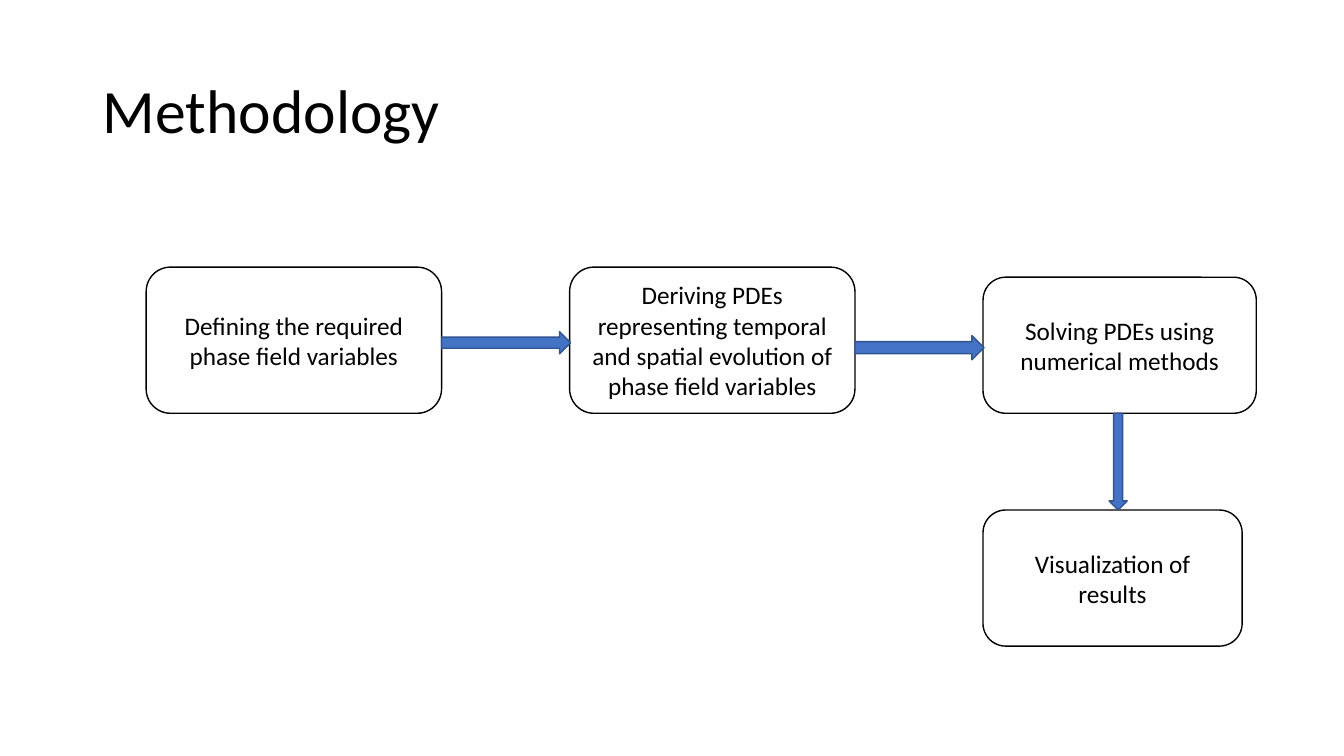
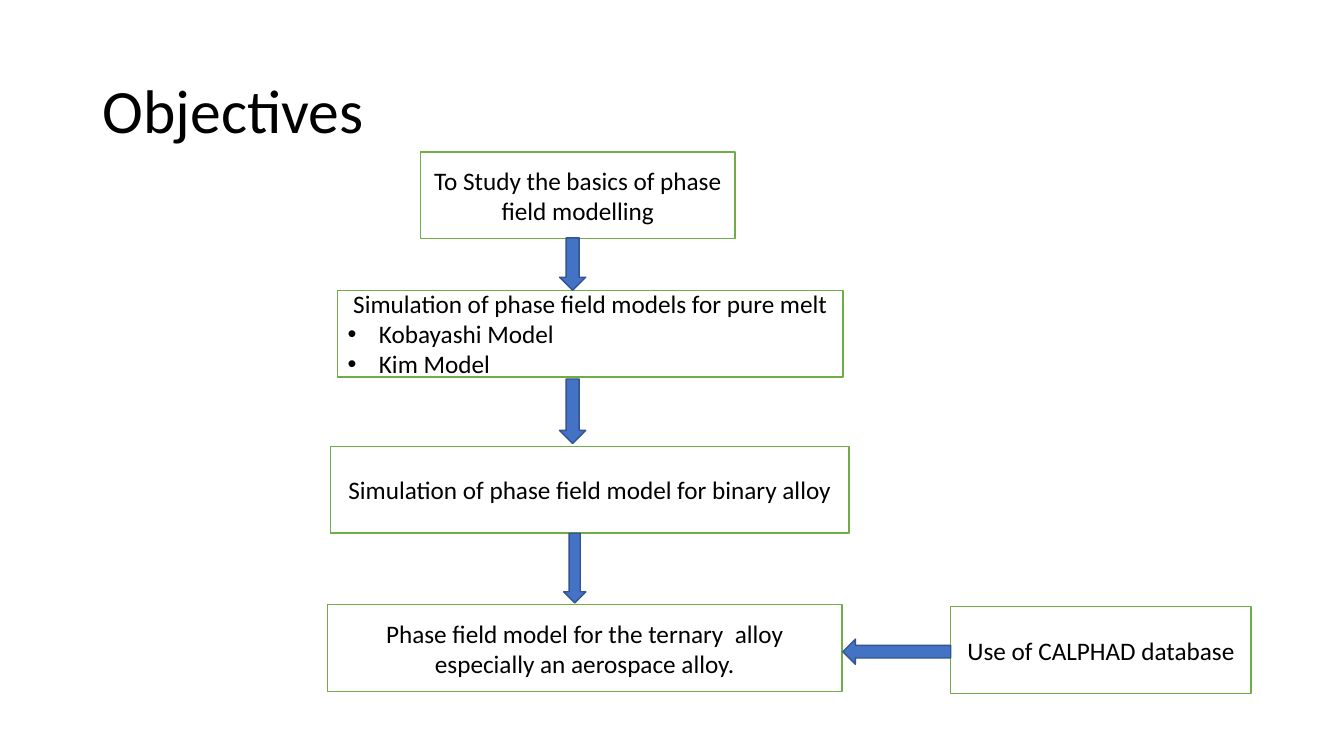
from lxml import etree
from pptx import Presentation
from pptx import util as u
from pptx.dml.color import RGBColor
from pptx.enum import shapes, text
from pptx.oxml.ns import qn

PX = u.Inches(1) // 100
FONT = "Calibri"
COLORS = {
    "text": "000000",
    "box": "FFFFFF",
    "step_line": "000000",
    "goal_line": "70AD47",
    "arrow": "4472C4",
    "arrow_line": "325491",
}
SHAPE = shapes.MSO_SHAPE
TITLE_ONLY = 5
TITLE_FRAME = {"left": 92, "top": 40, "width": 1150, "height": 145}
BULLET_INDENT = 31
GOAL_HEIGHT = 86

STEPS = [
    ("Defining the required phase field variables", (145, 265, 293, 145)),
    ("Deriving PDEs representing temporal and spatial evolution of phase field variables",
     (565, 265, 283, 145)),
    ("Solving PDEs using numerical methods", (975, 275, 271, 135)),
    ("Visualization of results", (975, 506, 257, 135)),
]
STEP_ARROWS = [
    (SHAPE.RIGHT_ARROW, (438, 329, 128, 22)),
    (SHAPE.RIGHT_ARROW, (848, 333, 128, 24)),
    (SHAPE.DOWN_ARROW, (1100, 410, 18, 96)),
]

# Each goal: heading, bullets, left, top, width
GOALS = [
    ("To Study the basics of phase field modelling", [], 417, 151, 312),
    ("Simulation of phase field models for pure melt",
     ["Kobayashi Model", "Kim Model"], 335, 288, 501),
    ("Simulation of phase field model for binary alloy", [], 328, 443, 514),
    ("Phase field model for the ternary  alloy especially an aerospace alloy.",
     [], 325, 600, 510),
    ("Use of CALPHAD database", [], 943, 602, 298),
]
GOAL_ARROWS = [
    (SHAPE.DOWN_ARROW, (555, 236, 26, 52)),
    (SHAPE.DOWN_ARROW, (555, 376, 26, 64)),
    (SHAPE.DOWN_ARROW, (559, 529, 22, 69)),
    (SHAPE.LEFT_ARROW, (836, 634, 107, 25)),
]


def set_all(target, values):
    for name, value in values.items():
        setattr(target, name, value)


def rgb(name):
    return RGBColor.from_string(COLORS[name])


def write(paragraph, content, size, alignment):
    paragraph.alignment = alignment
    run = paragraph.add_run()
    run.text = content
    set_all(run.font, {"name": FONT, "size": u.Pt(size), "bold": False})
    run.font.color.rgb = rgb("text")


def add_bullet(paragraph):
    properties = paragraph._p.get_or_add_pPr()
    properties.set("marL", str(BULLET_INDENT * PX))
    properties.set("indent", str(-BULLET_INDENT * PX))
    etree.SubElement(properties, qn("a:buFont"), typeface="Arial")
    etree.SubElement(properties, qn("a:buChar"), char="•")


def add_titled_slide(presentation, title):
    slide = presentation.slides.add_slide(presentation.slide_layouts[TITLE_ONLY])
    placeholder = slide.shapes.title
    set_all(placeholder, {name: value * PX for name, value in TITLE_FRAME.items()})
    frame = placeholder.text_frame
    set_all(frame, {
        "word_wrap": True,
        "auto_size": text.MSO_AUTO_SIZE.NONE,
        "vertical_anchor": text.MSO_ANCHOR.MIDDLE,
    })
    paragraph = frame.paragraphs[0]
    paragraph.line_spacing = 0.9
    write(paragraph, title, 44, text.PP_ALIGN.LEFT)
    return slide


def add_outlined(slide, kind, box, fill, line):
    shape = slide.shapes.add_shape(kind, *(length * PX for length in box))
    shape.shadow.inherit = False
    shape.fill.solid()
    shape.fill.fore_color.rgb = rgb(fill)
    shape.line.color.rgb = rgb(line)
    shape.line.width = u.Pt(1)
    return shape


def add_box(slide, kind, box, line, heading, bullets=()):
    frame = add_outlined(slide, kind, box, "box", line).text_frame
    set_all(frame, {"word_wrap": True, "vertical_anchor": text.MSO_ANCHOR.MIDDLE})
    write(frame.paragraphs[0], heading, 18, text.PP_ALIGN.CENTER)
    for bullet in bullets:
        paragraph = frame.add_paragraph()
        add_bullet(paragraph)
        write(paragraph, bullet, 18, text.PP_ALIGN.LEFT)


def add_arrows(slide, arrows):
    for kind, box in arrows:
        add_outlined(slide, kind, box, "arrow", "arrow_line")


def add_methodology(presentation):
    slide = add_titled_slide(presentation, "Methodology")
    for heading, box in STEPS:
        add_box(slide, SHAPE.ROUNDED_RECTANGLE, box, "step_line", heading)
    add_arrows(slide, STEP_ARROWS)


def add_objectives(presentation):
    slide = add_titled_slide(presentation, "Objectives")
    for heading, bullets, left, top, width in GOALS:
        box = (left, top, width, GOAL_HEIGHT)
        add_box(slide, SHAPE.RECTANGLE, box, "goal_line", heading, bullets)
    add_arrows(slide, GOAL_ARROWS)


def main():
    presentation = Presentation()
    set_all(presentation, {"slide_width": 1333 * PX, "slide_height": 750 * PX})
    add_methodology(presentation)
    add_objectives(presentation)
    presentation.save("out.pptx")


if __name__ == "__main__":
    main()
